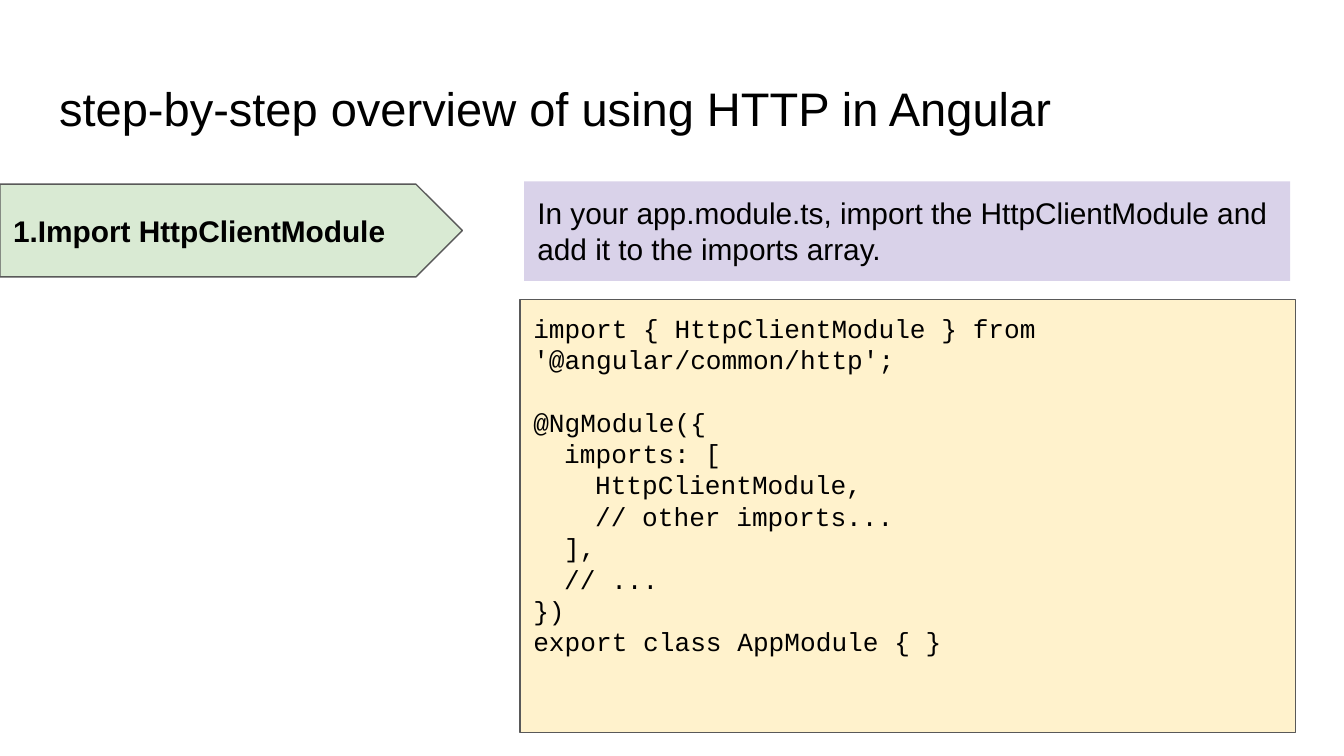
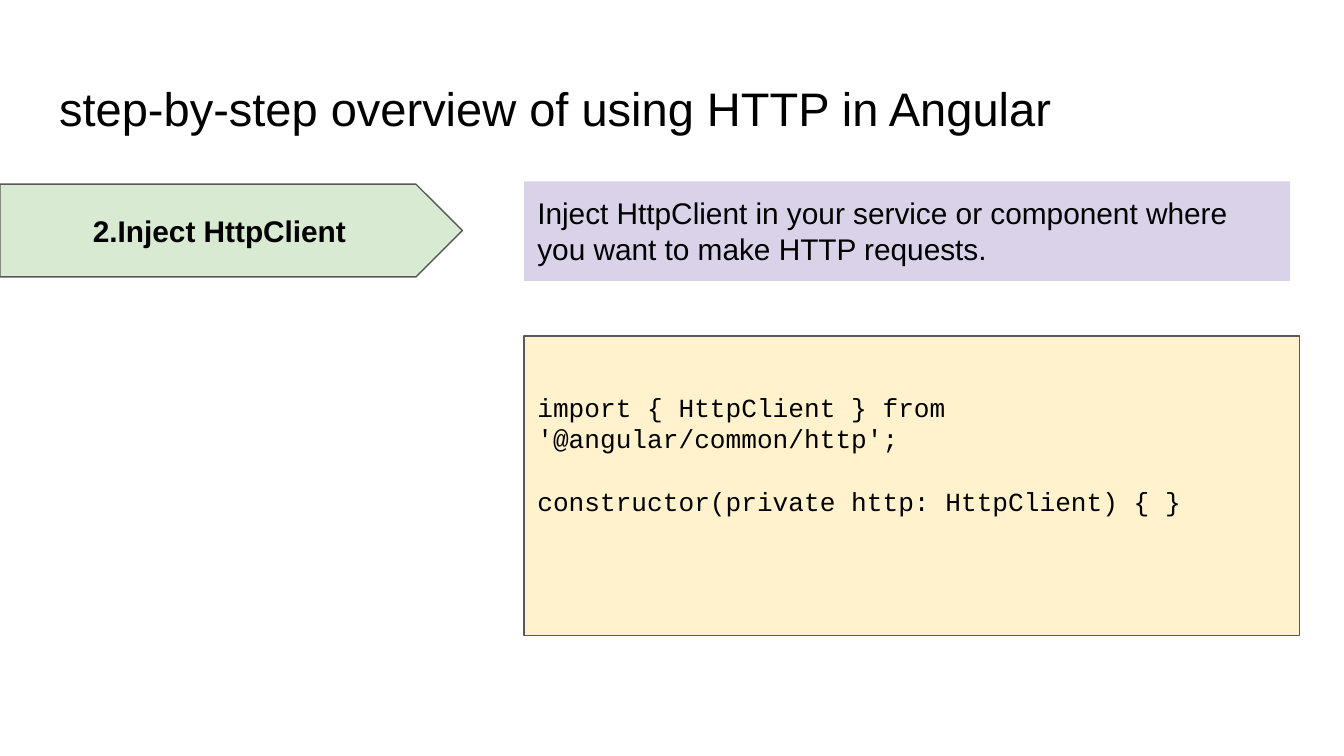
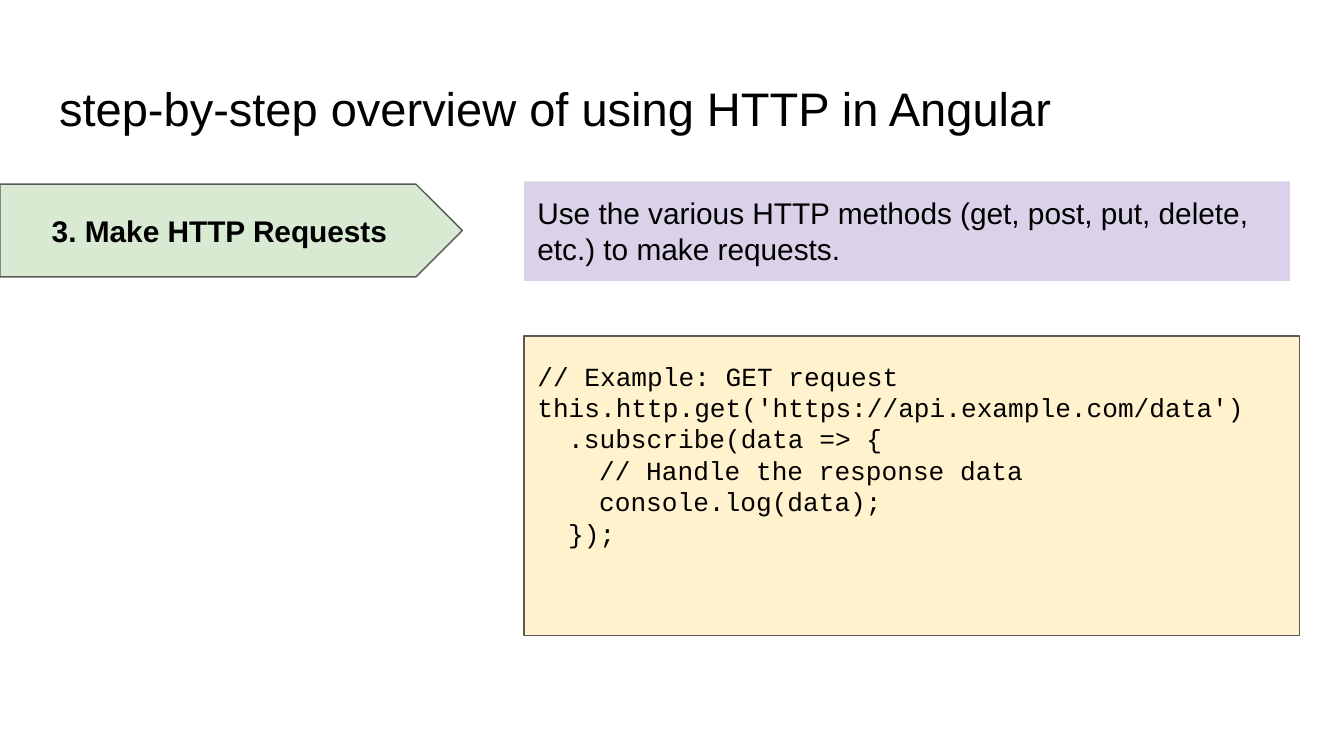
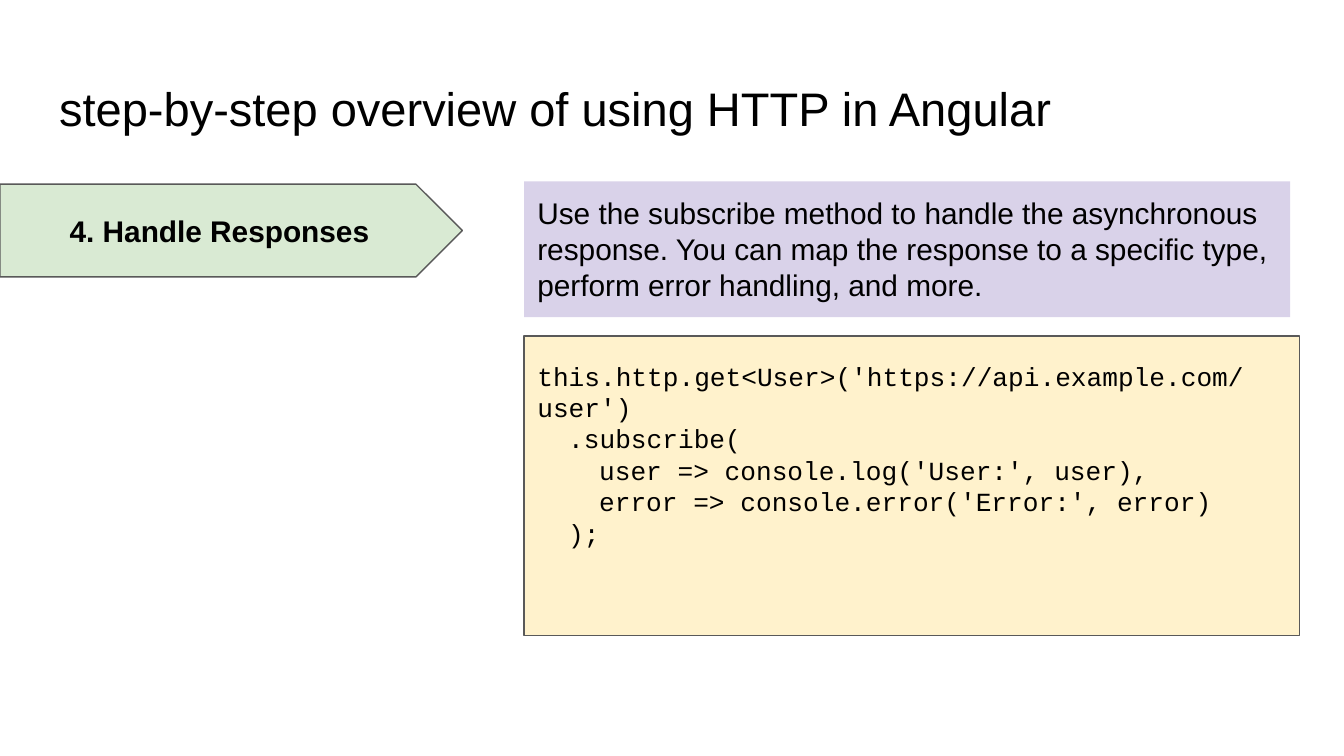
from dataclasses import dataclass
from typing import Optional

import pptx
import pptx.dml.color
import pptx.enum.shapes
import pptx.enum.text
import pptx.util

Inches = pptx.util.Inches
Pt = pptx.util.Pt
RGB = pptx.dml.color.RGBColor
SHAPE = pptx.enum.shapes.MSO_SHAPE
ANCHOR = pptx.enum.text.MSO_ANCHOR
ALIGN = pptx.enum.text.PP_ALIGN
AUTO = pptx.enum.text.MSO_AUTO_SIZE


@dataclass(frozen=True)
class Theme:
    ink: RGB = RGB.from_string("000000")
    outline: RGB = RGB.from_string("595959")
    step: RGB = RGB.from_string("D9EAD3")
    note: RGB = RGB.from_string("D9D2E9")
    code: RGB = RGB.from_string("FFF2CC")
    sans: str = "Arial"
    mono: str = "Courier New"
    title_size: float = 25.2
    body_size: float = 16
    code_size: float = 14
    code_line: float = 16.8
    line_width: float = 0.75
    inset: float = 0.1
    code_bottom_inset: float = 0.57
    code_indent: float = 0.23


@dataclass(frozen=True)
class Box:
    left: float
    top: float
    width: float
    height: float

    def lengths(self) -> tuple:
        return tuple(Inches(v) for v in (self.left, self.top, self.width, self.height))


@dataclass(frozen=True)
class Step:
    label: str
    note: str
    code: str
    label_align: ALIGN = ALIGN.CENTER
    note_height: float = 0.74
    code_box: Box = Box(3.9, 2.5, 5.77, 2.23)


THEME = Theme()
SLIDE_WIDTH = Inches(10)
SLIDE_HEIGHT = SLIDE_WIDTH * 9 // 16
TITLE = "step-by-step overview of using HTTP in Angular"
TITLE_BOX = Box(0.34, 0.49, 9.32, 0.63)
LABEL_BOX = Box(0, 1.37, 3.44, 0.69)

STEPS = [
    Step(
        "1.Import HttpClientModule",
        "In your app.module.ts, import the HttpClientModule and add it to the imports array.",
        """import { HttpClientModule } from '@angular/common/http';

@NgModule({
  imports: [
    HttpClientModule,
    // other imports...
  ],
  // ...
})
export class AppModule { }""",
        label_align=ALIGN.LEFT,
        code_box=Box(3.87, 2.23, 5.77, 3.22),
    ),
    Step(
        "2.Inject HttpClient",
        "Inject HttpClient in your service or component where you want to make HTTP requests.",
        """import { HttpClient } from '@angular/common/http';

constructor(private http: HttpClient) { }""",
    ),
    Step(
        "3. Make HTTP Requests",
        "Use the various HTTP methods (get, post, put, delete, etc.) to make requests.",
        """// Example: GET request
this.http.get('https://api.example.com/data')
  .subscribe(data => {
    // Handle the response data
    console.log(data);
  });""",
    ),
    Step(
        "4. Handle Responses",
        "Use the subscribe method to handle the asynchronous response. "
        "You can map the response to a specific type, perform error handling, and more.",
        """this.http.get<User>('https://api.example.com/user')
  .subscribe(
    user => console.log('User:', user),
    error => console.error('Error:', error)
  );""",
        note_height=1.01,
    ),
]


def format_frame(tf, anchor: ANCHOR, auto_size: AUTO = AUTO.NONE) -> None:
    tf.word_wrap = True
    tf.auto_size = auto_size
    tf.vertical_anchor = anchor
    tf.margin_left = tf.margin_right = Inches(THEME.inset)
    tf.margin_top = tf.margin_bottom = Inches(THEME.inset)


def write(p, text: str, size: float, font: str = THEME.sans,
          bold: bool = False, align: ALIGN = ALIGN.LEFT) -> None:
    p.text = text
    p.alignment = align
    for r in p.runs:
        r.font.name = font
        r.font.size = Pt(size)
        r.font.bold = bold
        r.font.color.rgb = THEME.ink


def add_panel(s, kind: SHAPE, box: Box, fill: RGB, outline: Optional[RGB] = None):
    sp = s.shapes.add_shape(kind, *box.lengths())
    sp.shadow.inherit = False
    sp.fill.solid()
    sp.fill.fore_color.rgb = fill
    if outline is None:
        sp.line.fill.background()
    else:
        sp.line.color.rgb = outline
        sp.line.width = Pt(THEME.line_width)
    return sp


def add_title(s) -> None:
    sp = s.shapes.title
    sp.left, sp.top, sp.width, sp.height = TITLE_BOX.lengths()
    format_frame(sp.text_frame, ANCHOR.TOP)
    write(sp.text_frame.paragraphs[0], TITLE, THEME.title_size)


def add_label(s, step: Step) -> None:
    sp = add_panel(s, SHAPE.PENTAGON, LABEL_BOX, THEME.step, THEME.outline)
    format_frame(sp.text_frame, ANCHOR.MIDDLE)
    write(sp.text_frame.paragraphs[0], step.label, THEME.body_size,
          bold=True, align=step.label_align)


def add_note(s, step: Step) -> None:
    box = Box(3.9, 1.35, 5.7, step.note_height)
    sp = add_panel(s, SHAPE.RECTANGLE, box, THEME.note)
    format_frame(sp.text_frame, ANCHOR.TOP, AUTO.SHAPE_TO_FIT_TEXT)
    write(sp.text_frame.paragraphs[0], step.note, THEME.body_size)


def add_code(s, step: Step) -> None:
    sp = add_panel(s, SHAPE.RECTANGLE, step.code_box, THEME.code, THEME.outline)
    tf = sp.text_frame
    format_frame(tf, ANCHOR.MIDDLE)
    tf.margin_bottom = Inches(THEME.code_bottom_inset)
    p = None
    gap = False
    for line in step.code.splitlines():
        if not line:
            gap = True
            continue
        p = tf.paragraphs[0] if p is None else tf.add_paragraph()
        text = line.lstrip()
        write(p, text, THEME.code_size, THEME.mono)
        depth = (len(line) - len(text)) // 2
        if depth:
            pPr = p._p.get_or_add_pPr()
            pPr.set("marL", str(Inches(THEME.code_indent * depth)))
            pPr.set("indent", "0")
        if gap:
            p.space_before = Pt(THEME.code_line)
            gap = False


def main() -> None:
    prs = pptx.Presentation()
    prs.slide_width, prs.slide_height = SLIDE_WIDTH, SLIDE_HEIGHT
    for step in STEPS:
        s = prs.slides.add_slide(prs.slide_layouts[5])
        add_title(s)
        add_label(s, step)
        add_note(s, step)
        add_code(s, step)
    prs.save("out.pptx")


if __name__ == "__main__":
    main()
